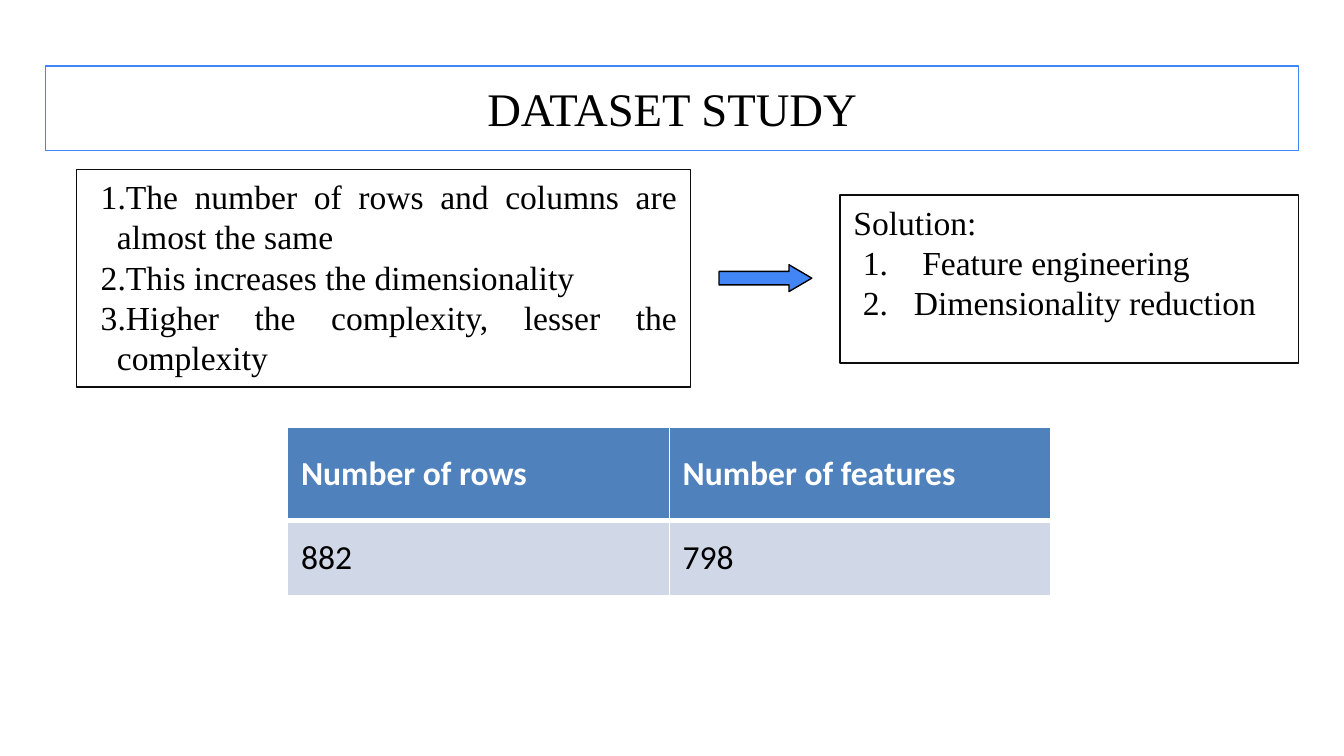
from pptx import Presentation
from pptx.dml.color import RGBColor
from pptx.enum.shapes import MSO_SHAPE as Shape
from pptx.enum.text import MSO_ANCHOR as Anchor, MSO_AUTO_SIZE as AutoSize, PP_ALIGN as Align
from pptx.oxml.ns import qn
from pptx.util import Inches, Pt
from lxml.etree import SubElement

# Content
TITLE = "DATASET STUDY"
PROBLEMS = [
    "The number of rows and columns are almost the same",
    "This increases the dimensionality",
    "Higher the complexity, lesser the complexity",
]
SOLUTION_HEADING = "Solution:"
SOLUTIONS = [" Feature engineering", "Dimensionality reduction"]
TABLE = [["Number of rows", "Number of features"], ["882", "798"]]

# Layout in inches: left, top, width, height
SLIDE_WIDTH = 10
SLIDE_HEIGHT = SLIDE_WIDTH * 9 / 16
TITLE_BOX = (0.34, 0.49, 9.32, 0.63)
PROBLEM_BOX = (0.57, 1.26, 4.57, 1.62)
SOLUTION_BOX = (6.25, 1.45, 3.41, 1.25)
ARROW_SIZE = (0.69, 0.2)
TABLE_CORNER = (2.14, 3.18)
COLUMN_WIDTH = 2.84
ROW_HEIGHTS = [0.69, 0.56]

# Formats
BLUE, BLACK, BOX_LINE, WHITE = "4285F4", "000000", "0C0C0C", "FFFFFF"
SERIF = "Times New Roman"
TITLE_FONT = {"name": SERIF, "size": Pt(25), "bold": False}
LIST_FONT = {"name": SERIF, "size": Pt(18)}
ROW_STYLES = [
    {"fill": "4F81BD", "color": WHITE, "bold": True, "borders": {"L": 1, "R": 1, "T": 1, "B": 3}},
    {"fill": "D0D8E8", "color": BLACK, "bold": False, "borders": {"L": 1, "R": 1, "T": 3, "B": 1}},
]


def rgb(value):
    return RGBColor.from_string(value)


def format_font(font, values, color):
    for name, value in values.items():
        setattr(font, name, value)
    font.color.rgb = rgb(color)


def place(shape, box):
    for name, value in zip(("left", "top", "width", "height"), box):
        setattr(shape, name, Inches(value))


def outline(shape, color):
    shape.line.color.rgb = rgb(color)
    shape.line.width = Pt(0.75)


def set_frame(frame, anchor, vertical_margin):
    values = {
        "word_wrap": True, "auto_size": AutoSize.NONE, "vertical_anchor": anchor,
        "margin_left": Inches(0.1), "margin_right": Inches(0.1),
        "margin_top": Inches(vertical_margin), "margin_bottom": Inches(vertical_margin),
    }
    for name, value in values.items():
        setattr(frame, name, value)


def set_bullet(paragraph, margin, indent, numbered):
    properties = paragraph._p.get_or_add_pPr()
    properties.set("marL", str(Inches(margin)))
    properties.set("indent", str(Inches(indent)))
    if numbered:
        color = SubElement(properties, qn("a:buClr"))
        SubElement(color, qn("a:srgbClr"), val=BLACK)
        SubElement(properties, qn("a:buFont"), typeface=SERIF)
        SubElement(properties, qn("a:buAutoNum"), type="arabicPeriod")
    else:
        SubElement(properties, qn("a:buNone"))


def fill_list(shape, box, items, margin, indent, align, heading=None):
    place(shape, box)
    outline(shape, BOX_LINE)
    frame = shape.text_frame
    set_frame(frame, Anchor.TOP, 0.05)
    lines = ([heading] if heading else []) + items
    frame.text = "\n".join(lines)
    for index, paragraph in enumerate(frame.paragraphs):
        if heading and index == 0:
            set_bullet(paragraph, 0, 0, False)
        else:
            set_bullet(paragraph, margin, indent, True)
        paragraph.alignment = align
        paragraph.space_before = Pt(0)
        for run in paragraph.runs:
            format_font(run.font, LIST_FONT, BLACK)


def set_borders(cell, widths):
    properties = cell._tc.get_or_add_tcPr()
    for side, width in widths.items():
        line = SubElement(properties, qn(f"a:ln{side}"), w=str(Pt(width)))
        fill = SubElement(line, qn("a:solidFill"))
        SubElement(fill, qn("a:srgbClr"), val=WHITE)


presentation = Presentation()
presentation.slide_width, presentation.slide_height = Inches(SLIDE_WIDTH), Inches(SLIDE_HEIGHT)
slide = presentation.slides.add_slide(presentation.slide_layouts.get_by_name("Two Content"))
title, problems, solutions = slide.placeholders[0], slide.placeholders[1], slide.placeholders[2]

# Title
place(title, TITLE_BOX)
outline(title, BLUE)
set_frame(title.text_frame, Anchor.MIDDLE, 0.1)
title.text_frame.text = TITLE
title_paragraph = title.text_frame.paragraphs[0]
title_paragraph.alignment = Align.CENTER
format_font(title_paragraph.runs[0].font, TITLE_FONT, BLACK)

# Problem and solution lists
fill_list(problems, PROBLEM_BOX, PROBLEMS, 0.2, -0.12, Align.JUSTIFY)
fill_list(solutions, SOLUTION_BOX, SOLUTIONS, 0.45, -0.38, Align.LEFT, SOLUTION_HEADING)

# Arrow centred in the gap between the lists
gap_center = (PROBLEM_BOX[0] + PROBLEM_BOX[2] + SOLUTION_BOX[0]) / 2
row_center = PROBLEM_BOX[1] + PROBLEM_BOX[3] / 2
arrow = slide.shapes.add_shape(Shape.RIGHT_ARROW, 0, 0, 0, 0)
place(arrow, (gap_center - ARROW_SIZE[0] / 2, row_center - ARROW_SIZE[1] / 2, *ARROW_SIZE))
arrow.adjustments[0], arrow.adjustments[1] = 0.5, 0.85
arrow.shadow.inherit = False
arrow.fill.solid()
arrow.fill.fore_color.rgb = rgb(BLUE)
outline(arrow, BLACK)

# Dataset table
table_shape = slide.shapes.add_table(len(TABLE), len(TABLE[0]), 0, 0, 0, 0)
place(table_shape, (*TABLE_CORNER, COLUMN_WIDTH * len(TABLE[0]), sum(ROW_HEIGHTS)))
table = table_shape.table
for column in table.columns:
    column.width = Inches(COLUMN_WIDTH)
for row, height, texts, style in zip(table.rows, ROW_HEIGHTS, TABLE, ROW_STYLES):
    row.height = Inches(height)
    for cell, text in zip(row.cells, texts):
        cell.text = text
        cell.vertical_anchor = Anchor.MIDDLE
        set_borders(cell, style["borders"])
        cell.fill.solid()
        cell.fill.fore_color.rgb = rgb(style["fill"])
        cell_font = {"name": "Calibri", "size": Pt(18), "bold": style["bold"]}
        format_font(cell.text_frame.paragraphs[0].runs[0].font, cell_font, style["color"])

presentation.save("out.pptx")
